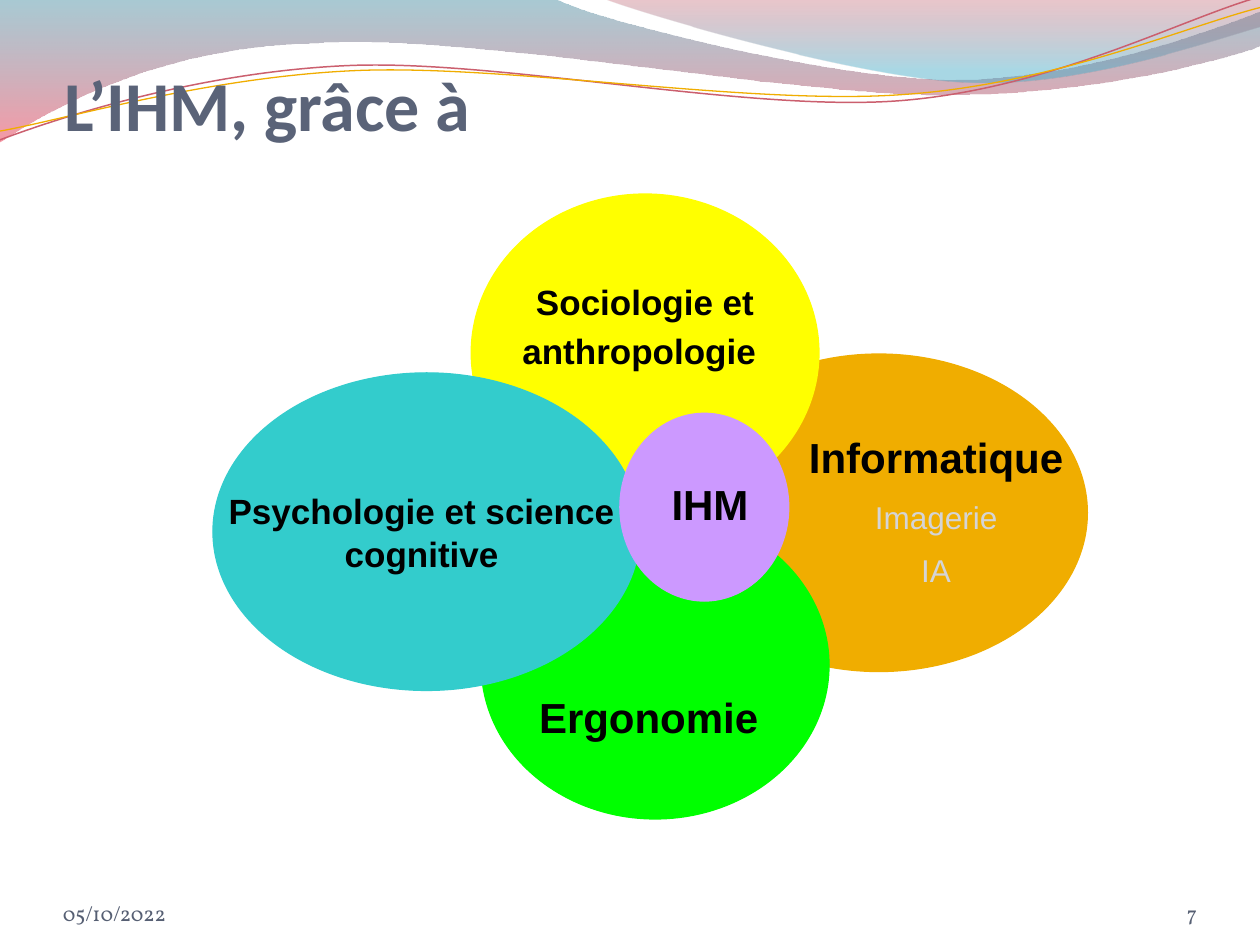
from math import cos, radians, sin
from lxml.etree import SubElement
from pptx import Presentation
from pptx.dml.color import RGBColor as Rgb
from pptx.enum.shapes import MSO_SHAPE as Shape
from pptx.enum.text import MSO_ANCHOR as Anchor, MSO_AUTO_SIZE as Auto, PP_ALIGN as Align
from pptx.oxml.ns import qn
from pptx.util import Inches, Pt

COLS, ROWS = 100, 75
CELL = Inches(10) // COLS
TILT = 2.7
INK = {
    "title": "5A6378", "foot": "565F73", "black": "000000", "pale": "D4D4D6",
    "gold": "F0AD00", "yellow": "FFFF00", "green": "00FF00",
    "teal": "33CCCC", "mauve": "CC99FF", "rose": "CB5F6E",
    "sea": "3F8A9F", "coral": "EF445B", "wine": "B84253", "sky": "42ABC7",
}


def tint(name):
    return Rgb.from_string(INK[name])


def grid(*cells):
    return [round(cell * CELL) for cell in cells]


def draw(host, start, parts, closed):
    pen = host.shapes.build_freeform(*grid(*start))
    pen.add_line_segments([grid(*point) for part in parts for point in part], close=closed)
    shape = pen.convert_to_shape()
    shape.shadow.inherit = False
    lines = list(shape._element.iter(qn("a:lnTo")))
    for part in parts:
        nodes, lines = lines[:len(part)], lines[len(part):]
        if len(part) == 3:
            curve = nodes[0].getparent().makeelement(qn("a:cubicBezTo"))
            nodes[0].addprevious(curve)
            for node in nodes:
                curve.append(node[0])
                node.getparent().remove(node)
    return shape


def wave(host, start, parts, stops):
    shape = draw(host, start, parts, True)
    shape.line.fill.background()
    shape.fill.gradient()
    shape.fill.gradient_angle = 270
    for stop, (place, name, _) in zip(shape.fill.gradient_stops, stops):
        stop.position = place
        stop.color.rgb = tint(name)
    for node, (_, _, alpha) in zip(shape._element.spPr.iter(qn("a:srgbClr")), stops):
        SubElement(node, qn("a:alpha"), val=str(alpha * 1000))


def turn(point, hub):
    x, y = point[0] - hub[0], point[1] - hub[1]
    c, s = cos(radians(TILT)), sin(radians(TILT))
    return hub[0] + x * c - y * s, hub[1] + x * s + y * c


def thread(host, hub, start, parts, name, width):
    flat = [[turn(point, hub) for point in part] for part in parts]
    shape = draw(host, turn(start, hub), flat, False)
    shape.rotation = 360 - TILT
    shape.fill.background()
    shape.line.color.rgb = tint(name)
    shape.line.width = Pt(width)


def disc(host, box, name):
    shape = host.shapes.add_shape(Shape.OVAL, *grid(*box))
    shape.shadow.inherit = False
    shape.fill.solid()
    shape.fill.fore_color.rgb = tint(name)
    shape.line.color.rgb = tint(name)
    shape.line.width = Pt(0.75)
    return shape


def write(frame, lines, font="Arial", size=24, ink="black", bold=True,
          align=Align.CENTER, anchor=Anchor.TOP, wrap=True, grow=False, gap=0,
          pads=(1, 0.5, 1, 0.5)):
    frame.word_wrap = wrap
    frame.auto_size = Auto.SHAPE_TO_FIT_TEXT if grow else Auto.NONE
    frame.vertical_anchor = anchor
    (frame.margin_left, frame.margin_top,
     frame.margin_right, frame.margin_bottom) = grid(*pads)
    for row, line in enumerate(lines):
        para = frame.add_paragraph() if row else frame.paragraphs[0]
        para.alignment = align
        para.space_before = Pt(gap if row else 0)
        for words, style in line:
            run = para.add_run()
            run.text = words
            run.font.name = font
            run.font.size = Pt(style.get("size", size))
            run.font.bold = style.get("bold", bold)
            run.font.color.rgb = tint(style.get("ink", ink))


def label(host, box, *lines, **style):
    write(host.shapes.add_textbox(*grid(*box)).text_frame, lines, **style)


def field(slide, oval, name, box, *lines, **style):
    group = slide.shapes.add_group_shape()
    disc(group, oval, name)
    label(group, box, *lines, **style)


def waves(slide):
    wave(slide, (0, 0), [
        [(44, -0.1)],
        [(47.6, 1.7), (66.4, 6.3), (75.8, 6.3)],
        [(85.3, 6.3), (95.8, 2.6), (100, 0.9)],
        [(100.1, 3.6)],
        [(98.3, 4.4), (87, 7.6), (74.6, 7.5)],
        [(62.2, 7.5), (38.2, 2.8), (25.7, 3.4)],
        [(12.9, 3.6), (4.6, 8.3), (-0.1, 11.3)],
    ], [(0, "sea", 45), (1, "coral", 55)])
    wave(slide, (47.9, -0.1), [
        [(50.9, 1.1), (68.2, 6.2), (76.9, 6.5)],
        [(85.6, 6.9), (96.1, 3.2), (100, 2.1)],
        [(100, 0)],
    ], [(0, "wine", 30), (0.8, "sky", 45)])
    group = slide.shapes.add_group_shape()
    thread(group, (49.9, 5.75), (0, 11.1), [
        [(4.8, 9.3), (15.8, 5.7), (27.7, 5.2)],
        [(39.5, 4.7), (59.3, 8.9), (71.3, 8)],
        [(83.3, 7.1), (93.8, 1.5), (99.8, -0.2)],
    ], "rose", 0.85)
    thread(group, (49.95, 5.9), (0, 10.4), [
        [(4.7, 9.6), (16.4, 6.1), (28.3, 5.6)],
        [(40.3, 5.1), (59.7, 8.4), (71.7, 7.5)],
        [(83.6, 6.7), (94.1, 2.1), (100, 0.6)],
    ], "gold", 0.75)


def fields(slide):
    minor = {"size": 18, "ink": "pale", "bold": False}
    field(slide, (53.2, 28.1, 33.1, 25.2), "gold", (62.3, 28.1, 24, 24.5),
          [("Informatique", {})], [("Imagerie", minor)], [("IA", minor)],
          gap=9, pads=(1, 6.15, 1, 0.5))
    field(slide, (37.4, 15.4, 27.6, 25.2), "yellow", (37.4, 21.75, 27.6, 8.3),
          [("Sociologie et anthropologie", {}), (" ", {"size": 24, "bold": False})],
          size=20)
    field(slide, (38.2, 40.6, 27.6, 24.4), "green", (41.8, 52.4, 20.3, 5),
          [(" Ergonomie", {})],
          align=Align.LEFT, anchor=Anchor.MIDDLE, wrap=False, grow=True)
    mind = disc(slide, (16.9, 29.6, 33.9, 25.2), "teal")
    write(mind.text_frame, [[("Psychologie et science ", {})], [("cognitive ", {})]],
          size=20, anchor=Anchor.MIDDLE, wrap=False, gap=0.5)
    field(slide, (49.2, 32.8, 13.4, 14.9), "mauve", (51.1, 37.5, 10.5, 5),
          [("IHM", {})])


def main():
    deck = Presentation()
    deck.slide_width, deck.slide_height = grid(COLS, ROWS)
    slide = deck.slides.add_slide(deck.slide_layouts[6])
    waves(slide)
    label(slide, (5.1, 3.65, 90, 7.9), [("L’IHM, grâce à", {})], font="Calibri",
          size=40, ink="title", align=Align.LEFT, anchor=Anchor.BOTTOM,
          pads=(0, 0.5, 0, 0))
    foot = {"font": "Vollkorn", "size": 12, "ink": "foot", "bold": False,
            "anchor": Anchor.BOTTOM, "pads": (0, 0, 0, 0)}
    label(slide, (5, 69.5, 23.3, 4), [("05/10/2022", {})], align=Align.LEFT, **foot)
    label(slide, (86.7, 69.5, 8.3, 4), [("7", {})], align=Align.RIGHT, **foot)
    fields(slide)
    deck.save("out.pptx")


if __name__ == "__main__":
    main()
